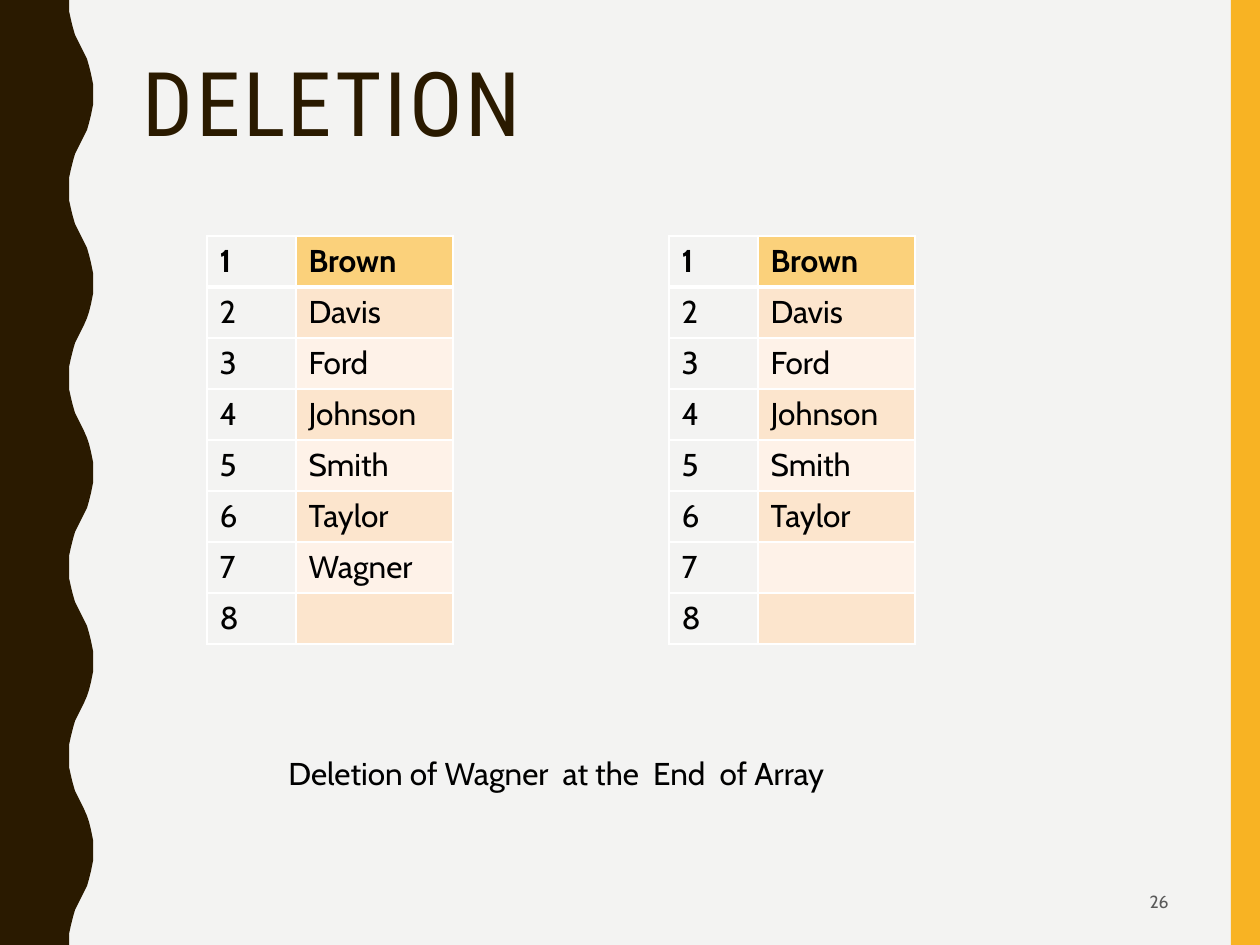
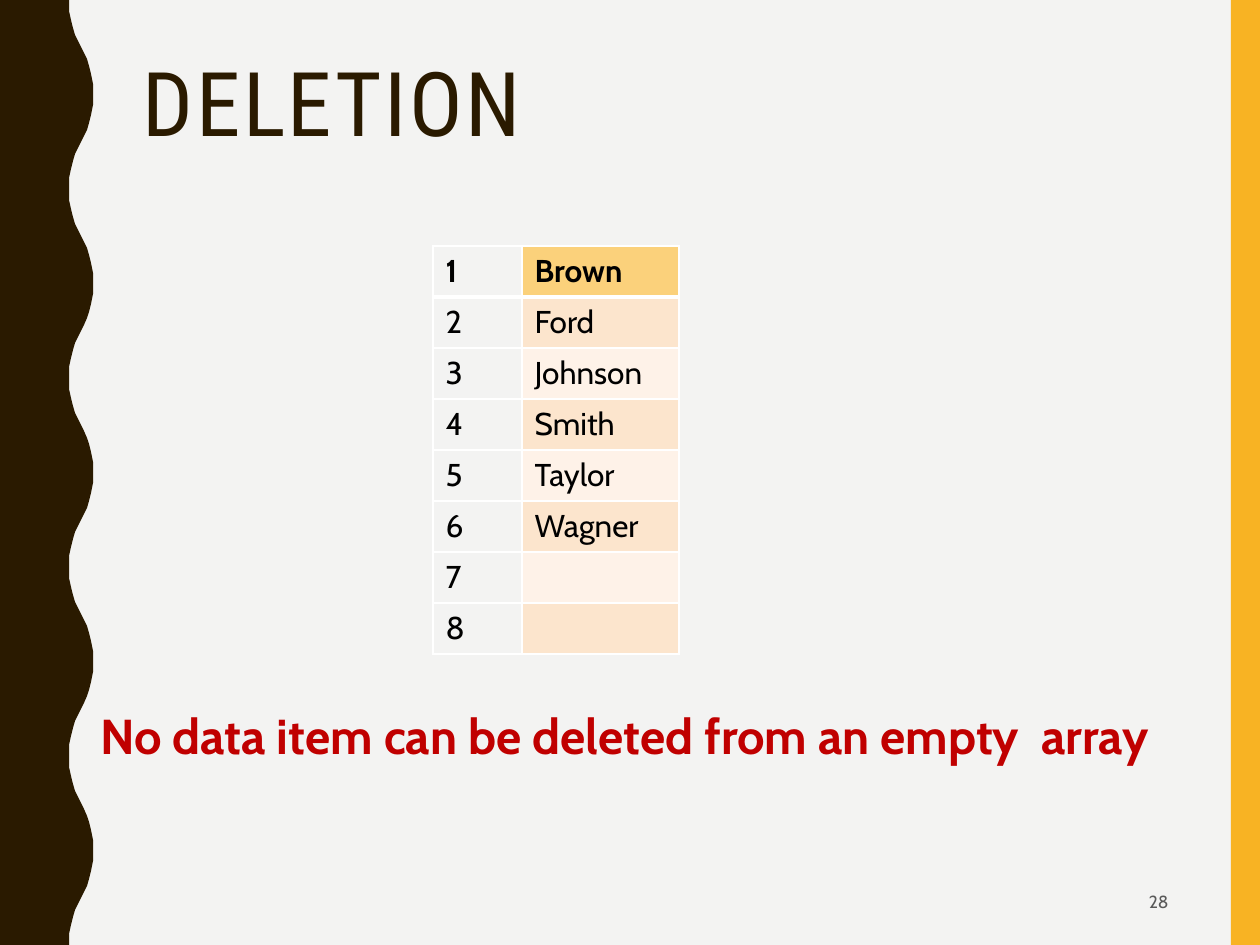
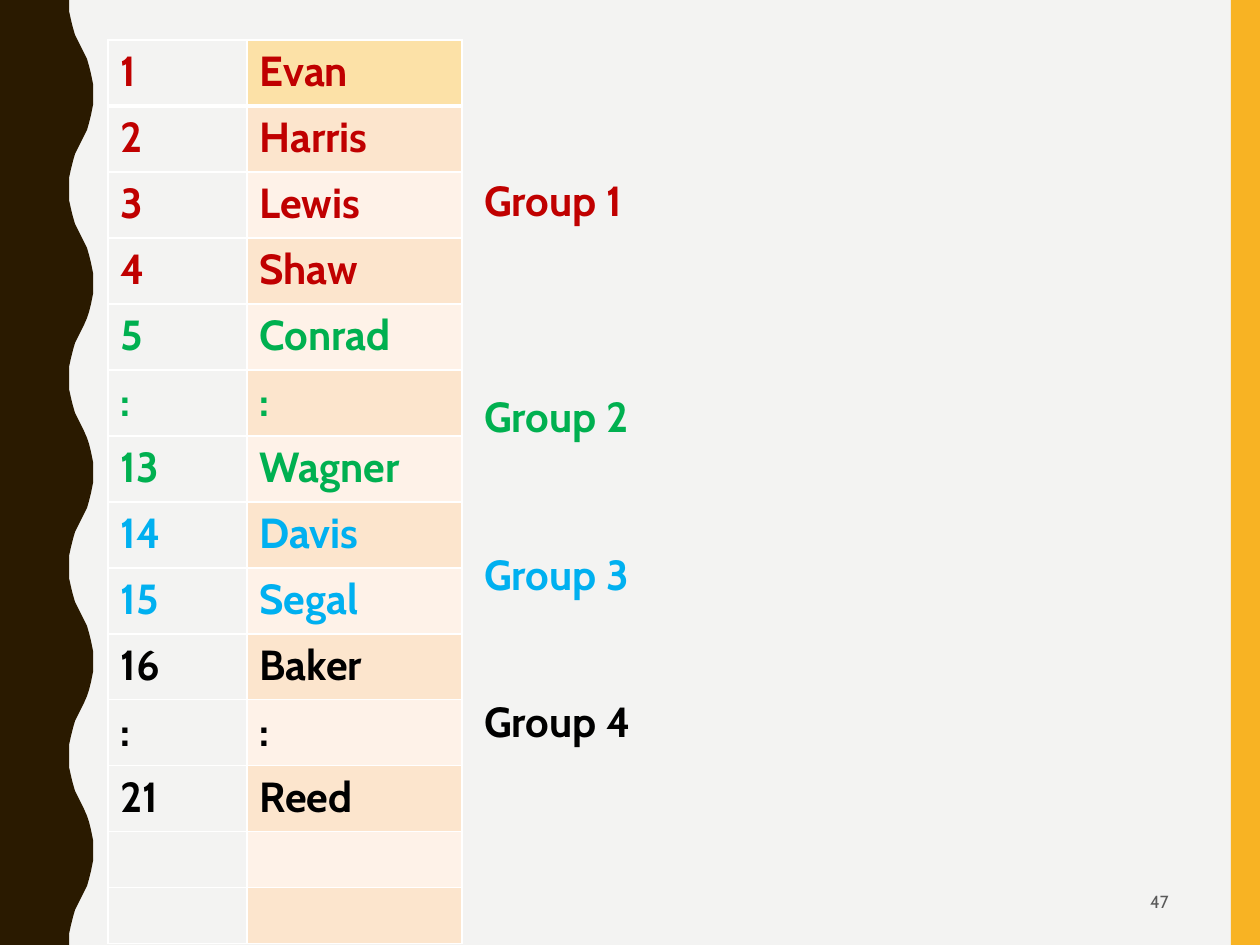
from lxml.etree import SubElement
from pptx import Presentation
from pptx.dml.color import RGBColor
from pptx.enum.shapes import MSO_SHAPE as SHAPE
from pptx.enum.text import MSO_ANCHOR as ANCHOR, MSO_AUTO_SIZE as AUTO_SIZE, PP_ALIGN as ALIGN
from pptx.oxml.ns import qn
from pptx.util import Emu, Pt

PIXEL = 914400 // 126
WIDTH, HEIGHT = 1260, 945

PAPER = RGBColor(0xF3, 0xF3, 0xF2)
BROWN = RGBColor(0x2A, 0x1A, 0x00)
AMBER = RGBColor(0xF8, 0xB3, 0x23)
HEADER = RGBColor(0xFB, 0xD1, 0x7B)
PALE_HEADER = RGBColor(0xFC, 0xE1, 0xA7)
DARK_ROW = RGBColor(0xFC, 0xE5, 0xCD)
LIGHT_ROW = RGBColor(0xFE, 0xF2, 0xE8)
GREY = RGBColor(0x59, 0x59, 0x59)
BLACK = RGBColor(0x00, 0x00, 0x00)
RED = RGBColor(0xC0, 0x00, 0x00)
GREEN = RGBColor(0x00, 0xB0, 0x50)
BLUE = RGBColor(0x00, 0xB0, 0xF0)

TITLE_FONT = "Roboto Condensed"
BODY_FONT = "Cabin"
TITLE_ONLY, BLANK = 5, 6


def px(length):
    """Turn pixels into EMU."""
    return Emu(length * PIXEL)


def wave_points(inner=69, outer=93, swings=10, steps=12):
    """Return the points of a smooth vertical wave, from top to bottom."""
    swing = HEIGHT / swings
    points = []
    for index in range(swings):
        start, end = (inner, outer) if index % 2 == 0 else (outer, inner)
        for step in range(steps):
            t = step / steps
            across = 3 * t ** 2 - 2 * t ** 3
            down = 1.5 * t * (1 - t) + t ** 3
            points.append((start + (end - start) * across, (index + down) * swing))
    return points + [(inner, HEIGHT)]


class Builder:
    """Holds the deck style and the current slide."""

    def __init__(self):
        """Start a deck with the shared page size and background."""
        self.deck = Presentation()
        self.deck.slide_width, self.deck.slide_height = px(WIDTH), px(HEIGHT)
        fill = self.deck.slide_master.background.fill
        fill.solid()
        fill.fore_color.rgb = PAPER
        self.page = None

    def new_page(self, number, title=None):
        """Add a slide with its bands, page number and optional title."""
        layout = self.deck.slide_layouts[TITLE_ONLY if title else BLANK]
        self.page = self.deck.slides.add_slide(layout)
        self.bands()
        if title:
            self.title(title)
        self.text(str(number), (890, 878, 291, 48), 10, GREY,
                  align=ALIGN.RIGHT, anchor=ANCHOR.MIDDLE)

    def bands(self):
        """Draw the amber bar on the right and the wavy band on the left."""
        bar = self.page.shapes.add_shape(SHAPE.RECTANGLE, px(1231), 0, px(29), px(HEIGHT))
        outline = self.page.shapes.build_freeform(0, 0, scale=PIXEL)
        outline.add_line_segments(wave_points() + [(0, HEIGHT)], close=True)
        for band, color in ((bar, AMBER), (outline.convert_to_shape(), BROWN)):
            band.shadow.inherit = False
            band.fill.solid()
            band.fill.fore_color.rgb = color
            band.line.fill.background()

    def title(self, text):
        """Place and format the title placeholder."""
        box = self.page.shapes.title
        box.left, box.top, box.width, box.height = map(px, (130, 53, 1052, 205))
        frame = box.text_frame
        frame.text = text
        frame.auto_size = AUTO_SIZE.NONE
        frame.vertical_anchor = ANCHOR.TOP
        para = frame.paragraphs[0]
        para.alignment = ALIGN.LEFT
        para.line_spacing = 0.9
        self.style(para, 51, BROWN, font=TITLE_FONT)
        for span in para.runs:
            span.font._element.set("spc", "150")

    def style(self, para, size, color, bold=False, font=BODY_FONT):
        """Format every run of a paragraph."""
        for span in para.runs:
            span.font.name, span.font.size, span.font.bold = font, Pt(size), bold
            span.font.color.rgb = color

    def text(self, text, place, size, color, bold=False,
             align=ALIGN.LEFT, anchor=ANCHOR.TOP):
        """Add a one-paragraph text box."""
        frame = self.page.shapes.add_textbox(*map(px, place)).text_frame
        frame.word_wrap = True
        frame.vertical_anchor = anchor
        frame.text = text
        frame.paragraphs[0].alignment = align
        self.style(frame.paragraphs[0], size, color, bold)

    def borders(self, cell, top, bottom):
        """Give a cell white borders; top and bottom are widths in points."""
        properties = cell._tc.get_or_add_tcPr()
        for side, width in (("L", 1), ("R", 1), ("T", top), ("B", bottom)):
            line = SubElement(properties, qn(f"a:ln{side}"), w=str(Pt(width)))
            fill = SubElement(line, qn("a:solidFill"))
            SubElement(fill, qn("a:srgbClr"), val="FFFFFF")

    def table(self, left, top, widths, heights, rows, size, header, colors=None):
        """Add a two-column array; rows given colours are bold throughout."""
        frame = self.page.shapes.add_table(
            len(rows), len(widths), px(left), px(top), px(sum(widths)), px(sum(heights)))
        table = frame.table
        table.first_row = table.horz_banding = False
        for column, width in zip(table.columns, widths):
            column.width = px(width)
        for index, values in enumerate(rows):
            table.rows[index].height = px(heights[index])
            color = colors[index] if colors else BLACK
            band = header if index == 0 else (LIGHT_ROW, DARK_ROW)[index % 2]
            for column, value in enumerate(values):
                cell = table.cell(index, column)
                self.borders(cell, 3 if index == 1 else 1, 3 if index == 0 else 1)
                if column == 0:
                    cell.fill.background()
                else:
                    cell.fill.solid()
                    cell.fill.fore_color.rgb = band
                cell.text_frame.text = value
                self.style(cell.text_frame.paragraphs[0], size, color,
                           bold=bool(colors) or index == 0)

    def name_array(self, left, top, names, slots=8):
        """Add a numbered array of names, with its unused slots empty."""
        padded = names + [""] * (slots - len(names))
        rows = [(str(number), name) for number, name in enumerate(padded, 1)]
        self.table(left, top, (89, 157), [51] * slots, rows, 18, HEADER)


def main():
    """Build the three slides."""
    builder = Builder()
    names = ["Brown", "Davis", "Ford", "Johnson", "Smith", "Taylor", "Wagner"]

    builder.new_page(26, "DELETION")
    builder.name_array(207, 236, names)
    builder.name_array(669, 236, names[:-1])
    builder.text("Deletion of Wagner  at the  End  of Array", (276, 748, 709, 50), 18, BLACK)

    builder.new_page(28, "DELETION")
    builder.name_array(433, 246, [name for name in names if name != "Davis"])
    builder.text("No data item can be deleted from an empty  array",
                 (88, 699, 1123, 131), 28, RED, bold=True)

    builder.new_page(47)
    groups = [
        (RED, 168, [("1", "Evan"), ("2", "Harris"), ("3", "Lewis"), ("4", "Shaw")]),
        (GREEN, 384, [("5", "Conrad"), (":", ":"), ("13", "Wagner")]),
        (BLUE, 542, [("14", "Davis"), ("15", "Segal")]),
        (BLACK, 689, [("16", "Baker"), (":", ":"), ("21", "Reed")]),
    ]
    members = [row for _, _, rows in groups for row in rows]
    colors = [color for color, _, rows in groups for _ in rows]
    builder.table(108, 40, (139, 215), [66] * len(members) + [56] * 2,
                  members + [("", "")] * 2, 24, PALE_HEADER, colors + [BLACK] * 2)
    for number, (color, top, _) in enumerate(groups, 1):
        builder.text(f"Group {number}", (472, top, 237, 63), 24, color, bold=True)

    builder.deck.save("out.pptx")


main()
